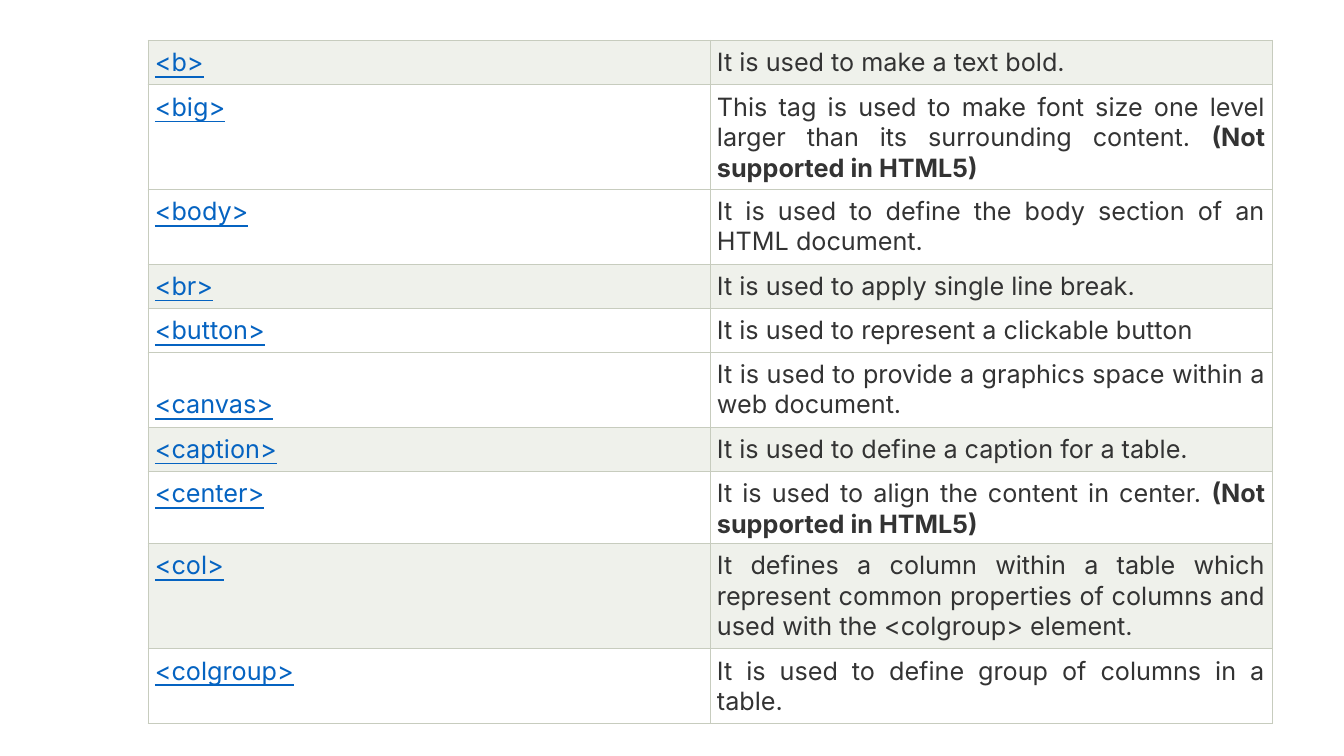
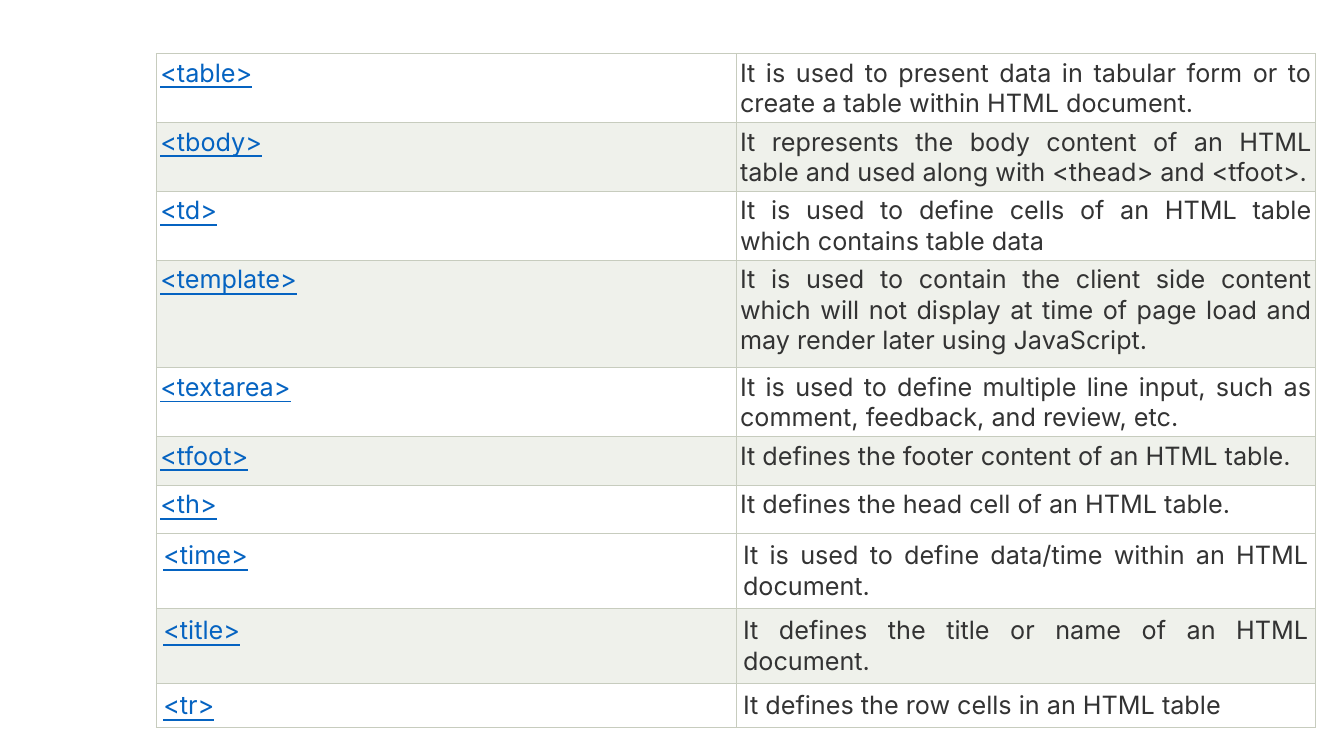
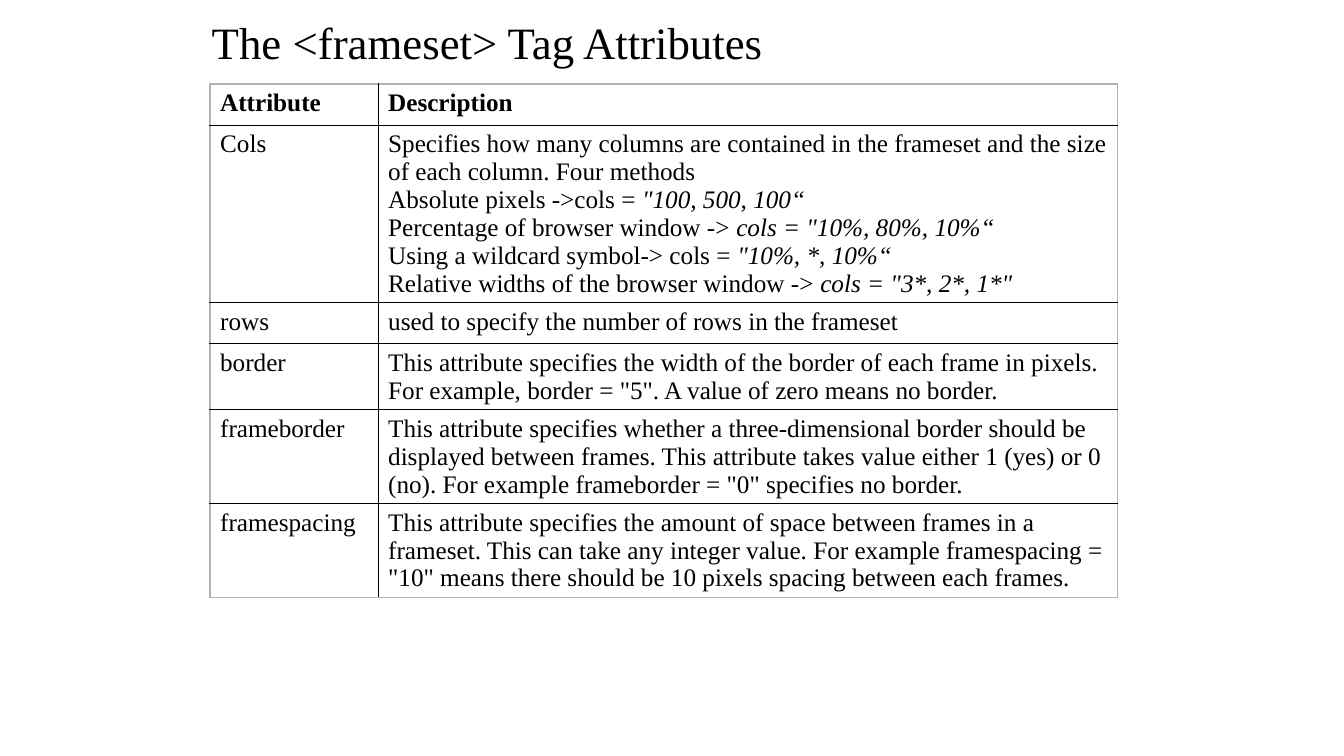
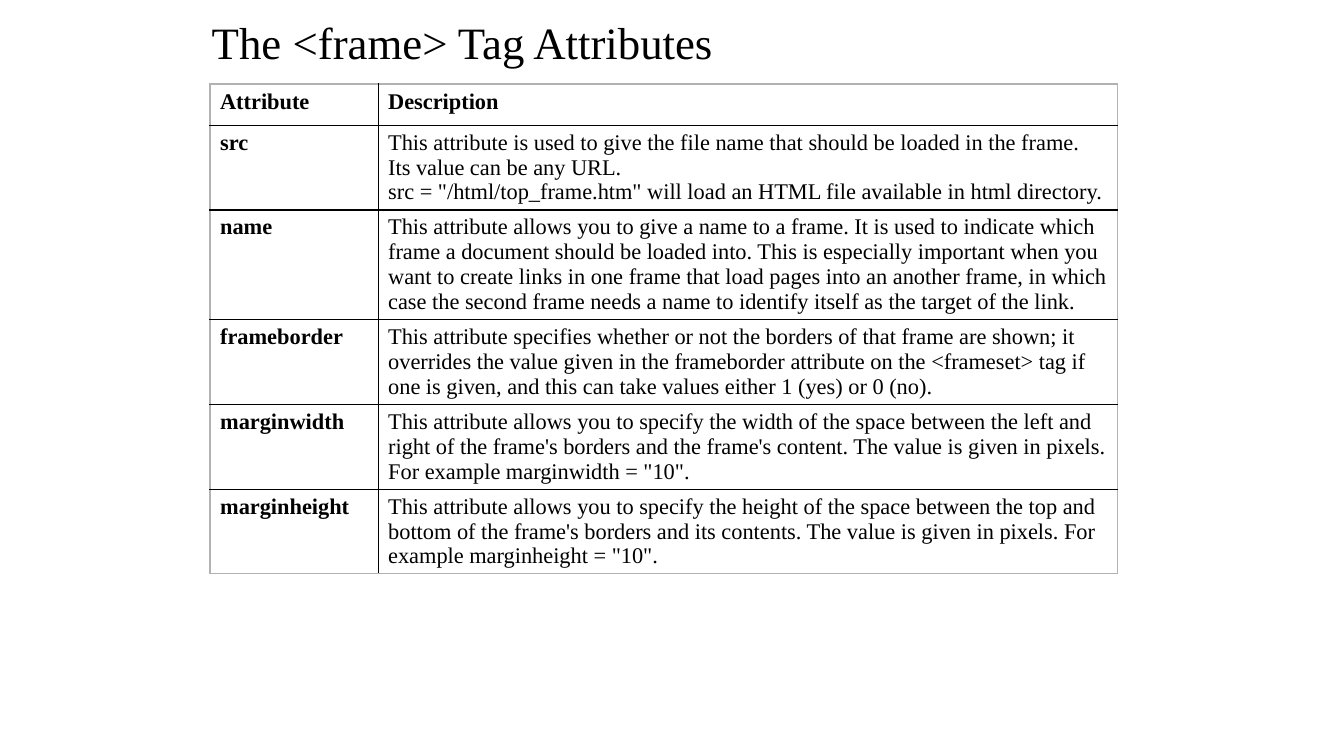
from lxml import etree
from pptx import Presentation
from pptx import util as u
from pptx.dml.color import RGBColor
from pptx.enum import text
from pptx.oxml import ns

UNIT = u.Inches(1 / 12)  # the slide is a grid of 160 columns and 90 rows
BLUE, DARK, BLACK = "0563C1", "333333", "000000"
WHITE, PALE = "FFFFFF", "EFF1EB"
SAGE, GREY = "C7CCBE", "B2B2B2"
SANS, SERIF = "Inter", "Times New Roman"
SHADED = {"<b>", "<br>", "<caption>", "<col>",
          "<tbody>", "<template>", "<tfoot>", "<title>"}
LOW = {"<canvas>"}  # tags set at the foot of their cell


def grid(n):
    return u.Emu(round(n * UNIT))


def rgb(code):
    return RGBColor.from_string(code)


def style(run, face, size, color=BLACK, **marks):
    font = run.font
    font.name, font.size = face, u.Pt(size)
    font.color.rgb = rgb(color)
    for mark, value in marks.items():
        if mark == "bold":
            font.bold = value
        elif mark == "italic":
            font.italic = value
        else:
            font.underline = value


def edge(cell, side, color, width):
    """Draw one border of a cell; side is L, R, T or B."""
    line = etree.SubElement(cell._tc.get_or_add_tcPr(), ns.qn("a:ln" + side),
                            w=str(u.Pt(width)))
    fill = etree.SubElement(line, ns.qn("a:solidFill"))
    etree.SubElement(fill, ns.qn("a:srgbClr"), val=color)


class Deck:
    def __init__(self):
        self.prs = Presentation()
        self.prs.slide_width = u.Inches(13.33)
        self.prs.slide_height = u.Inches(7.5)
        self.slide = None

    def page(self, title=None):
        layout = self.prs.slide_layouts[5 if title else 6]
        self.slide = self.prs.slides.add_slide(layout)
        if title:
            self.title(title)

    def title(self, words):
        shape = self.slide.shapes.title
        shape.left, shape.top = grid(24), grid(2)
        shape.width, shape.height = grid(108), grid(6.6)
        frame = shape.text_frame
        frame.text = words
        frame.auto_size = text.MSO_AUTO_SIZE.NONE
        frame.vertical_anchor = text.MSO_ANCHOR.MIDDLE
        para = frame.paragraphs[0]
        para.alignment = text.PP_ALIGN.LEFT
        para.line_spacing = 0.9
        style(para.runs[0], SERIF, 32)

    def table(self, left, top, cols, rows):
        """Add an unstyled table; rows are least heights."""
        table = self.slide.shapes.add_table(
            len(rows), len(cols), grid(left), grid(top),
            grid(sum(cols)), grid(sum(rows))).table
        table.first_row = table.horz_banding = False
        for col, width in zip(table.columns, cols):
            col.width = grid(width)
        for row, height in zip(table.rows, rows):
            row.height = grid(height)
        return table

    def label(self, cell, words, look, stress):
        """Fill a cell; a bar in a line starts its stressed run."""
        cell.text_frame.text = words.replace("|", "")
        for para, line in zip(cell.text_frame.paragraphs, words.split("\n")):
            first, *rest = line.split("|")
            para.text = first
            style(para.runs[0], **look)
            for part in rest:
                run = para.add_run()
                run.text = part
                style(run, **look, **{stress: True})

    def tags(self, left, top, width, pad, data, rows=None):
        """Table of tags and what each is used for."""
        table = self.table(left, top, [width / 2] * 2, rows or [5.2] * len(data))
        looks = (dict(face=SANS, size=18, color=BLUE, underline=True),
                 dict(face=SANS, size=18, color=DARK))
        for r, pair in enumerate(data):
            for c, words in enumerate(pair):
                cell = table.cell(r, c)
                cell.margin_left = cell.margin_right = u.Inches(pad)
                cell.margin_top = cell.margin_bottom = u.Inches(pad)
                self.label(cell, words, looks[c], "bold")
                for para in cell.text_frame.paragraphs:
                    para.alignment = text.PP_ALIGN.JUSTIFY
                for side in "LRTB":
                    edge(cell, side, SAGE, 0.6)
                cell.fill.solid()
                cell.fill.fore_color.rgb = rgb(PALE if pair[0] in SHADED else WHITE)
                if words in LOW:
                    cell.vertical_anchor = text.MSO_ANCHOR.BOTTOM

    def attrs(self, size, data, strong=False):
        """Table of attributes; strong sets their names in bold."""
        data = [("Attribute", "Description"), *data]
        table = self.table(25, 10, [20, 88], [4.9] * len(data))
        last = len(data) - 1
        for r, pair in enumerate(data):
            for c, words in enumerate(pair):
                cell = table.cell(r, c)
                bold = r == 0 or (strong and c == 0)
                self.label(cell, words, dict(face=SERIF, size=size, bold=bold),
                           "italic")
                outer = dict(L=c == 0, R=c == 1, T=r == 0, B=r == last)
                for side, out in outer.items():
                    edge(cell, side, GREY if out else BLACK, 1)
                cell.fill.background()


FIRST = [
    (4.8, [("<b>", "It is used to make a text bold.")]),
    (10.1, [("<big>", "This tag is used to make font size one level larger than its surrounding content. |(Not supported in HTML5)")]),
    (22.5, [
        ("<body>", "It is used to define the body section of an HTML document."),
        ("<br>", "It is used to apply single line break."),
        ("<button>", "It is used to represent a clickable button")]),
    (41.9, [
        ("<canvas>", "It is used to provide a graphics space within a web document."),
        ("<caption>", "It is used to define a caption for a table."),
        ("<center>", "It is used to align the content in center. |(Not supported in HTML5)")]),
    (64.7, [
        ("<col>", "It defines a column within a table which represent common properties of columns and used with the <colgroup> element."),
        ("<colgroup>", "It is used to define group of columns in a table.")]),
]
UPPER = [
    ("<table>", "It is used to present data in tabular form or to create a table within HTML document."),
    ("<tbody>", "It represents the body content of an HTML table and used along with <thead> and <tfoot>."),
    ("<td>", "It is used to define cells of an HTML table which contains table data"),
    ("<template>", "It is used to contain the client side content which will not display at time of page load and may render later using JavaScript."),
    ("<textarea>", "It is used to define multiple line input, such as comment, feedback, and review, etc."),
    ("<tfoot>", "It defines the footer content of an HTML table."),
    ("<th>", "It defines the head cell of an HTML table."),
]
LOWER = [
    ("<time>", "It is used to define data/time within an HTML document."),
    ("<title>", "It defines the title or name of an HTML document."),
    ("<tr>", "It defines the row cells in an HTML table"),
]
FRAMESET = [
    ("Cols", """Specifies how many columns are contained in the frameset and the size of each column. Four methods
Absolute pixels ->cols = |"100, 500, 100“
Percentage of browser window -> |cols = "10%, 80%, 10%“
Using a wildcard symbol-> cols = |"10%, *, 10%“
Relative widths of the browser window -> |cols = "3*, 2*, 1*\""""),
    ("rows", "used to specify the number of rows in the frameset"),
    ("border", 'This attribute specifies the width of the border of each frame in pixels. For example, border = "5". A value of zero means no border.'),
    ("frameborder", 'This attribute specifies whether a three-dimensional border should be displayed between frames. This attribute takes value either 1 (yes) or 0 (no). For example frameborder = "0" specifies no border.'),
    ("framespacing", 'This attribute specifies the amount of space between frames in a frameset. This can take any integer value. For example framespacing = "10" means there should be 10 pixels spacing between each frames.'),
]
FRAME = [
    ("src", """This attribute is used to give the file name that should be loaded in the frame. Its value can be any URL.
src = "/html/top_frame.htm" will load an HTML file available in html directory."""),
    ("name", "This attribute allows you to give a name to a frame. It is used to indicate which frame a document should be loaded into. This is especially important when you want to create links in one frame that load pages into an another frame, in which case the second frame needs a name to identify itself as the target of the link."),
    ("frameborder", "This attribute specifies whether or not the borders of that frame are shown; it overrides the value given in the frameborder attribute on the <frameset> tag if one is given, and this can take values either 1 (yes) or 0 (no)."),
    ("marginwidth", """This attribute allows you to specify the width of the space between the left and right of the frame's borders and the frame's content. The value is given in pixels. For example marginwidth = "10"."""),
    ("marginheight", """This attribute allows you to specify the height of the space between the top and bottom of the frame's borders and its contents. The value is given in pixels. For example marginheight = "10"."""),
]


def main():
    deck = Deck()

    deck.page()
    for top, data in FIRST:
        deck.tags(17.6, top, 133.8, 0.07, data)

    deck.page()
    deck.tags(18.6, 6.4, 138, 0.04, UPPER, [8.2, 8.2, 8.2, 12.8, 8.2, 5.8, 5.8])
    deck.tags(18.6, 63.5, 138, 0.07, LOWER)

    deck.page("The <frameset> Tag Attributes")
    deck.attrs(18, FRAMESET)

    deck.page("The <frame> Tag Attributes")
    deck.attrs(16, FRAME, strong=True)

    deck.prs.save("out.pptx")


if __name__ == "__main__":
    main()
